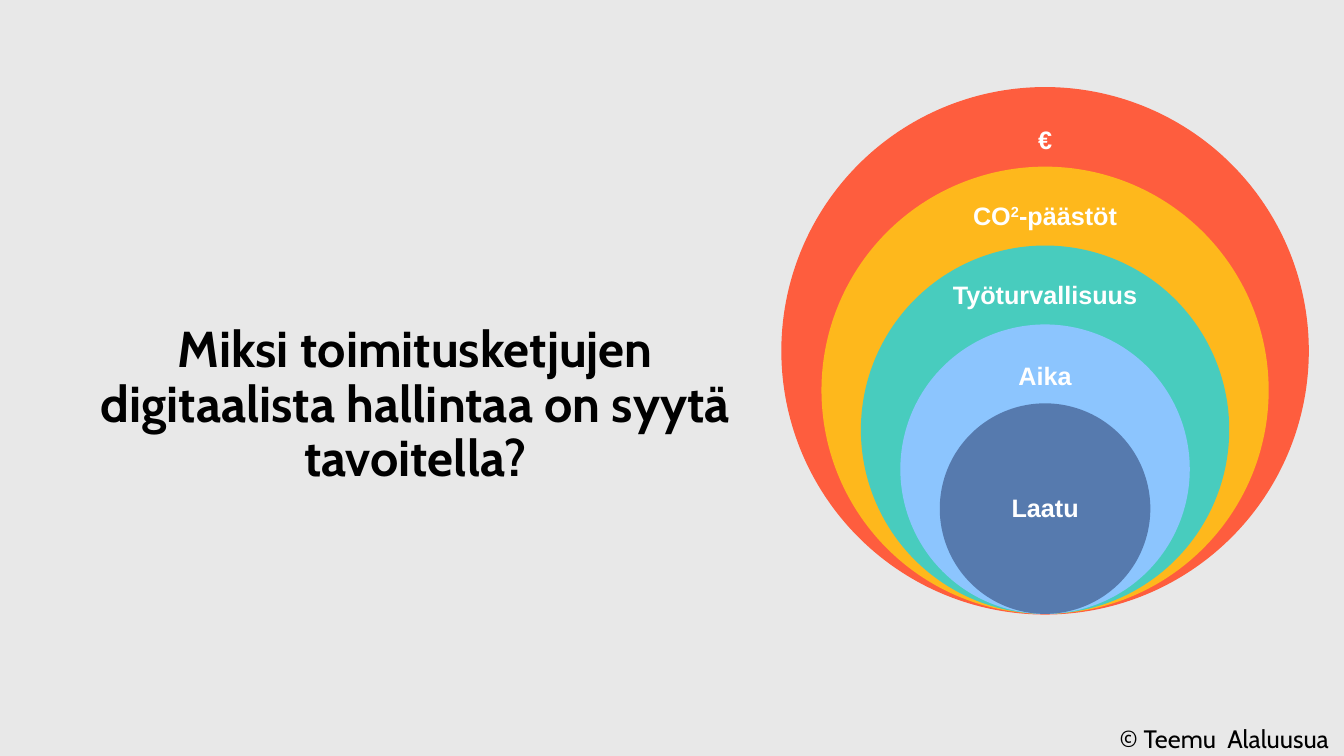
from dataclasses import dataclass

from pptx import Presentation
from pptx.dml.color import RGBColor
from pptx.enum.shapes import MSO_SHAPE as Shape
from pptx.enum.text import MSO_ANCHOR as Anchor, MSO_AUTO_SIZE as AutoSize, PP_ALIGN as Align
from pptx.util import Pt

TITLE = "Miksi toimitusketjujen digitaalista hallintaa on syytä tavoitella?"
CREDIT = "© Teemu  Alaluusua"
RINGS = [
    {"label": ["€"], "fill": "FE5D3E", "drop": 38, "width": 141},
    {"label": ["CO", "2", "-päästöt"], "fill": "FEB81C", "drop": 36, "width": 152},
    {"label": ["Työturvallisuus"], "fill": "48CCBE", "drop": 36.5, "width": 136},
    {"label": ["Aika"], "fill": "8CC5FE", "drop": 37.5, "width": 112},
    {"label": ["Laatu"], "fill": "567AAE", "drop": 75.5, "width": 107},
]
SUPERSCRIPT = "2"


@dataclass(frozen=True)
class Theme:
    background: str = "E8E8E8"
    ink: str = "000000"
    label_ink: str = "FFFFFF"
    text_font: str = "Cabin"
    label_font: str = "Arial"
    title_size: int = 36
    body_size: int = 18


THEME = Theme()
CENTER_X, BOTTOM = 746.5, 438.5
OUTER_DIAMETER, DIAMETER_STEP = 375.8, 56.35
LABEL_HEIGHT, LABEL_INSET = 37, 8.64


def rgb(value):
    return RGBColor.from_string(value)


def style(para, name, size, color, bold=False):
    para.font.name = name
    para.font.size = Pt(size)
    para.font.color.rgb = rgb(color)
    para.font.bold = bold


def add_title(page):
    title = page.shapes.title
    title.left, title.top, title.width, title.height = Pt(54), Pt(88.5), Pt(485.3), Pt(263.5)
    frame = title.text_frame
    frame.text = TITLE
    frame.word_wrap = True
    frame.auto_size = AutoSize.NONE
    frame.vertical_anchor = Anchor.BOTTOM
    para = frame.paragraphs[0]
    para.alignment = Align.CENTER
    para.line_spacing = 0.9
    style(para, THEME.text_font, THEME.title_size, THEME.ink, True)


def add_ring(page, index, ring):
    diameter = OUTER_DIAMETER - index * DIAMETER_STEP
    top = BOTTOM - diameter
    group = page.shapes.add_group_shape()
    circle = group.shapes.add_shape(
        Shape.OVAL, Pt(CENTER_X - diameter / 2), Pt(top), Pt(diameter), Pt(diameter))
    circle.shadow.inherit = False
    circle.fill.solid()
    circle.fill.fore_color.rgb = rgb(ring["fill"])
    if index == 0:
        circle.line.color.rgb = rgb(ring["fill"])
        circle.line.width = Pt(1)
    else:
        circle.line.fill.background()

    box = group.shapes.add_textbox(
        Pt(CENTER_X - ring["width"] / 2), Pt(top + ring["drop"] - LABEL_HEIGHT / 2),
        Pt(ring["width"]), Pt(LABEL_HEIGHT))
    frame = box.text_frame
    frame.word_wrap = True
    frame.vertical_anchor = Anchor.MIDDLE
    frame.margin_left = frame.margin_right = 0
    frame.margin_top = frame.margin_bottom = Pt(LABEL_INSET)
    para = frame.paragraphs[0]
    para.alignment = Align.CENTER
    para.line_spacing = 0.9
    for text in ring["label"]:
        span = para.add_run()
        span.text = text
        if text == SUPERSCRIPT:
            span.font._element.set("baseline", "30000")
    style(para, THEME.label_font, THEME.body_size, THEME.label_ink, True)


def add_credit(page):
    box = page.shapes.add_textbox(Pt(792.7), Pt(513), Pt(167), Pt(27))
    frame = box.text_frame
    frame.word_wrap = False
    frame.text = CREDIT
    style(frame.paragraphs[0], THEME.text_font, THEME.body_size, THEME.ink)


def main():
    deck = Presentation()
    deck.slide_width, deck.slide_height = Pt(960), Pt(540)
    page = deck.slides.add_slide(deck.slide_layouts[5])
    page.background.fill.solid()
    page.background.fill.fore_color.rgb = rgb(THEME.background)
    add_title(page)
    for index, ring in enumerate(RINGS):
        add_ring(page, index, ring)
    add_credit(page)
    deck.save("out.pptx")


if __name__ == "__main__":
    main()
